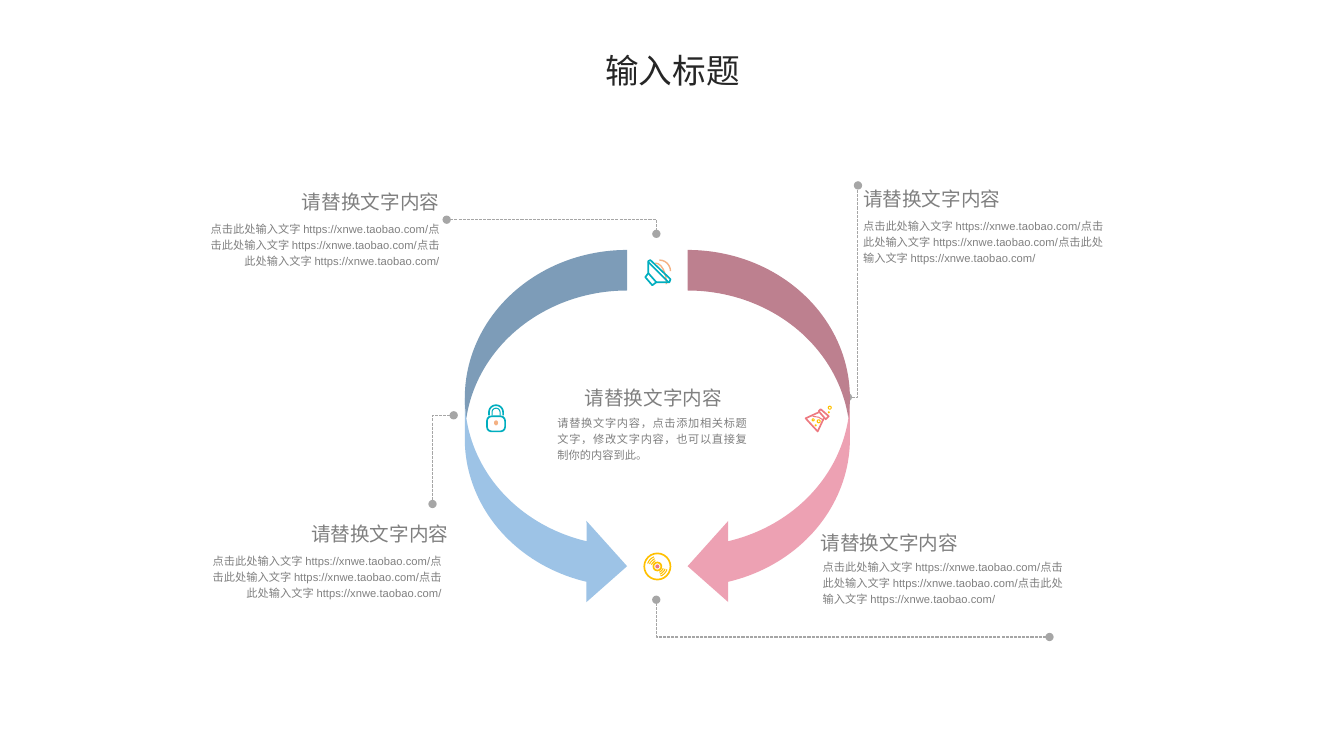
import math

import pptx
import pptx.dml.color
import pptx.enum.dml
import pptx.enum.shapes
import pptx.enum.text
import pptx.oxml
import pptx.oxml.ns
import pptx.util

COLORS = {
    "title": "262626", "text": "808080", "connector": "A6A6A6",
    "blue": "9DC3E6", "pink": "EDA1B3", "teal": "00AEBF",
    "coral": "ED7980", "gold": "FFC000", "peach": "F4B183",
}
FONT = "Arial"
CJK_FONT = "Noto Sans CJK SC"
HEADING = "请替换文字内容"
DETAIL = "点击此处输入文字 https://xnwe.taobao.com/" * 3
CENTER_DETAIL = "请替换文字内容，点击添加相关标题文字，修改文字内容，也可以直接复制你的内容到此。"
SHAPES = pptx.enum.shapes.MSO_SHAPE
ALIGN = pptx.enum.text.PP_ALIGN
Inches = pptx.util.Inches


class CycleSlide:
    """Draws styled elements on one slide."""

    def __init__(self, page):
        self.page = page

    def color(self, name):
        return pptx.dml.color.RGBColor.from_string(COLORS[name])

    def element(self, parent, tag):
        return pptx.oxml.ns.qn(tag) and parent.makeelement(pptx.oxml.ns.qn(tag), {})

    def style(self, shape, fill=None, line=None, width=1.2):
        shape.shadow.inherit = False
        if fill:
            shape.fill.solid()
            shape.fill.fore_color.rgb = self.color(fill)
        else:
            shape.fill.background()
        if line:
            shape.line.color.rgb = self.color(line)
            shape.line.width = pptx.util.Pt(width)
        else:
            shape.line.fill.background()
        return shape

    def text(self, area, words, size, align, color="text", font=FONT,
             spacing=1.2, wrap=True, inset=None, middle=False):
        box = self.page.shapes.add_textbox(*map(Inches, area))
        frame = box.text_frame
        frame.word_wrap = wrap
        if middle:
            frame.vertical_anchor = pptx.enum.text.MSO_ANCHOR.MIDDLE
        else:
            frame.auto_size = pptx.enum.text.MSO_AUTO_SIZE.SHAPE_TO_FIT_TEXT
        if inset is not None:
            frame.margin_left = frame.margin_right = Inches(inset)
            frame.margin_top = frame.margin_bottom = Inches(inset)
        para = frame.paragraphs[0]
        para.alignment = align
        para.line_spacing = spacing
        span = para.add_run()
        span.text = words
        span.font.name = font
        span.font.size = pptx.util.Pt(size)
        span.font.color.rgb = self.color(color)
        east_asian = self.element(span.font._element, "a:ea")
        east_asian.set("typeface", CJK_FONT)
        span.font._element.find(pptx.oxml.ns.qn("a:latin")).addnext(east_asian)

    def preset(self, kind, area, adjust=(), **style):
        shape = self.page.shapes.add_shape(kind, *map(Inches, area))
        for index, value in enumerate(adjust):
            shape.adjustments[index] = value
        return self.style(shape, **style)

    def circle(self, x, y, radius, **style):
        area = (x - radius, y - radius, 2 * radius, 2 * radius)
        self.preset(SHAPES.OVAL, area, **style)

    def arc(self, x, y, rx, ry, start, end, color, width=1):
        area = (x - rx, y - ry, 2 * rx, 2 * ry)
        angles = [angle * 0.6 for angle in (start, end)]
        self.preset(SHAPES.ARC, area, angles, line=color, width=width)

    def outline(self, points, color, close=True, width=1.2):
        points = [(Inches(x), Inches(y)) for x, y in points]
        builder = self.page.shapes.build_freeform(*points[0])
        builder.add_line_segments(points[1:], close=close)
        self.style(builder.convert_to_shape(), line=color, width=width)

    def elbow(self, begin, end):
        connector = self.page.shapes.add_connector(
            pptx.enum.shapes.MSO_CONNECTOR.ELBOW, *map(Inches, begin + end))
        connector.line.color.rgb = self.color("connector")
        connector.line.width = pptx.util.Pt(0.75)
        connector.line.dash_style = pptx.enum.dml.MSO_LINE.SQUARE_DOT
        properties = connector._element.spPr
        properties.find(pptx.oxml.ns.qn("a:prstGeom")).set("prst", "bentConnector2")
        line = properties.find(pptx.oxml.ns.qn("a:ln"))
        line.find(pptx.oxml.ns.qn("a:prstDash")).set("val", "sysDash")
        for tag in ("a:headEnd", "a:tailEnd"):
            marker = self.element(line, tag)
            marker.set("type", "oval")
            line.append(marker)
        properties.append(self.element(properties, "a:effectLst"))

    def disc_icon(self, x, y):
        self.circle(x, y, 0.13, line="gold")
        self.circle(x, y, 0.04, line="gold")
        self.circle(x, y, 0.02, fill="coral")
        for radius in (0.06, 0.08, 0.1):
            for start in (197, 17):
                self.arc(x, y, radius, radius, start, start + 54, "gold", 0.75)

    def flask_icon(self):
        self.outline([(8.12, 4.09), (7.99, 4.15), (8.11, 4.28), (8.17, 4.15)],
                     "coral", close=False)
        self.outline([(8.14, 4.06), (8.12, 4.08), (8.19, 4.16), (8.22, 4.13)], "coral")
        self.outline([(8.06, 4.13), (8.12, 4.14), (8.17, 4.17)],
                     "coral", close=False, width=0.75)
        for x, y, radius in ((8.12, 4.18, 0.015), (8.23, 4.045, 0.015), (8.065, 4.165, 0.01)):
            self.circle(x, y, radius, line="gold", width=0.75)
        for x, y in ((8.09, 4.22), (8.22, 4.09)):
            self.circle(x, y, 0.01, fill="gold")

    def lock_icon(self, x, y):
        self.preset(SHAPES.ROUNDED_RECTANGLE, (x - 0.09, y + 0.04, 0.18, 0.15),
                    (0.3,), line="teal")
        for radius, width in ((0.07, 1.2), (0.04, 0.75)):
            arch = [(x - radius * math.cos(math.radians(angle)),
                     y - radius * math.sin(math.radians(angle)))
                    for angle in range(0, 181, 15)]
            legs = [(x - radius, y + 0.03)], [(x + radius, y + 0.03)]
            self.outline(legs[0] + arch + legs[1], "teal", close=False, width=width)
        self.preset(SHAPES.OVAL, (x - 0.02, y + 0.08, 0.04, 0.05), fill="peach")

    def dish_icon(self):
        self.arc(6.5, 2.82, 0.11, 0.21, 270, 0, "peach")
        self.arc(6.54, 2.69, 0.11, 0.11, 270, 0, "peach")
        self.outline([(6.45, 2.58), (6.43, 2.59), (6.43, 2.71), (6.4, 2.75),
                      (6.47, 2.83), (6.51, 2.8), (6.64, 2.8), (6.65, 2.77)], "teal")
        for start, end in (((6.43, 2.6), (6.63, 2.8)), ((6.43, 2.71), (6.51, 2.8))):
            self.outline([start, end], "teal", close=False)


def main():
    deck = pptx.Presentation()
    deck.slide_width, deck.slide_height = Inches(13.33), Inches(7.5)
    slide = CycleSlide(deck.slides.add_slide(deck.slide_layouts[6]))
    slide.text((0.92, 0.4, 11.5, 0.64), "输入标题", 24, ALIGN.CENTER, color="title",
               font=CJK_FONT, spacing=0.9, middle=True)

    for begin, end in (((8.41, 3.94), (8.51, 1.84)), ((10.41, 6.32), (6.51, 5.95)),
                       ((4.5, 4.12), (4.29, 5)), ((4.43, 2.18), (6.51, 2.32))):
        slide.elbow(begin, end)

    for left, color in ((4.61, "blue"), (6.82, "pink")):
        arrow = slide.preset(SHAPES.CURVED_RIGHT_ARROW, (left, 2.48, 1.61, 3.54),
                             (0.25, 0.5, 0.25), fill=color)
        if color == "pink":
            arrow._element.spPr.find(pptx.oxml.ns.qn("a:xfrm")).set("flipH", "1")

    slide.text((5.69, 3.73, 1.58, 0.36), HEADING, 14, ALIGN.CENTER, wrap=False)
    slide.text((5.43, 4.05, 2.08, 0.59), CENTER_DETAIL, 8, ALIGN.JUSTIFY)

    slide.disc_icon(6.52, 5.62)
    slide.flask_icon()
    slide.lock_icon(4.92, 4.09)
    slide.dish_icon()

    for heading, detail, width, align in (
            ((2.99, 1.84), (2.07, 2.18), 2.29, ALIGN.RIGHT),
            ((3.08, 5.13), (2.09, 5.47), 2.29, ALIGN.RIGHT),
            ((8.56, 1.81), (8.56, 2.15), 2.48, ALIGN.LEFT),
            ((8.14, 5.22), (8.16, 5.53), 2.48, ALIGN.LEFT)):
        slide.text(heading + (1.37, 0.26), HEADING, 14, align, wrap=False, inset=0)
        slide.text(detail + (width, 0.48), DETAIL, 8, align, inset=0)

    deck.save("out.pptx")


if __name__ == "__main__":
    main()
